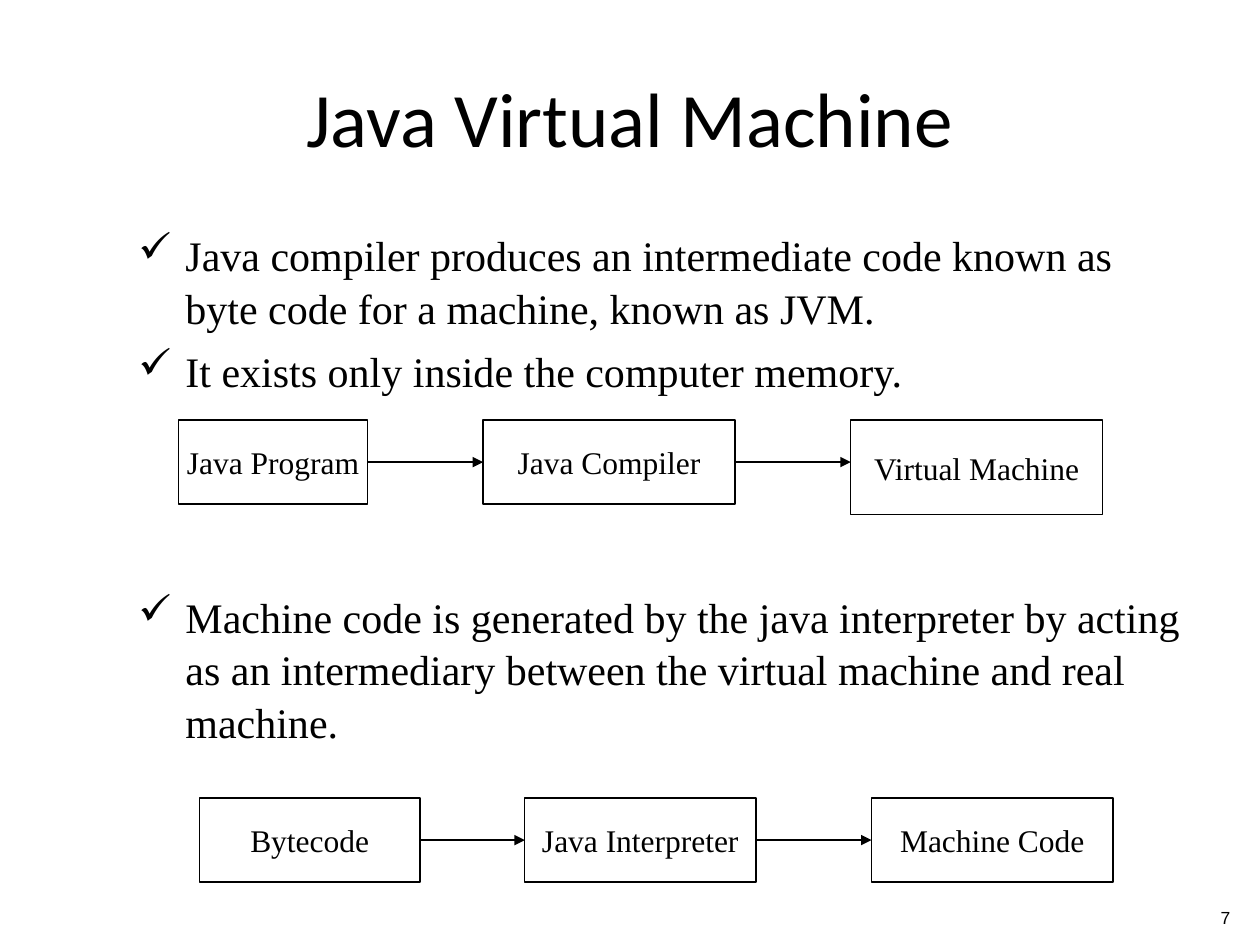
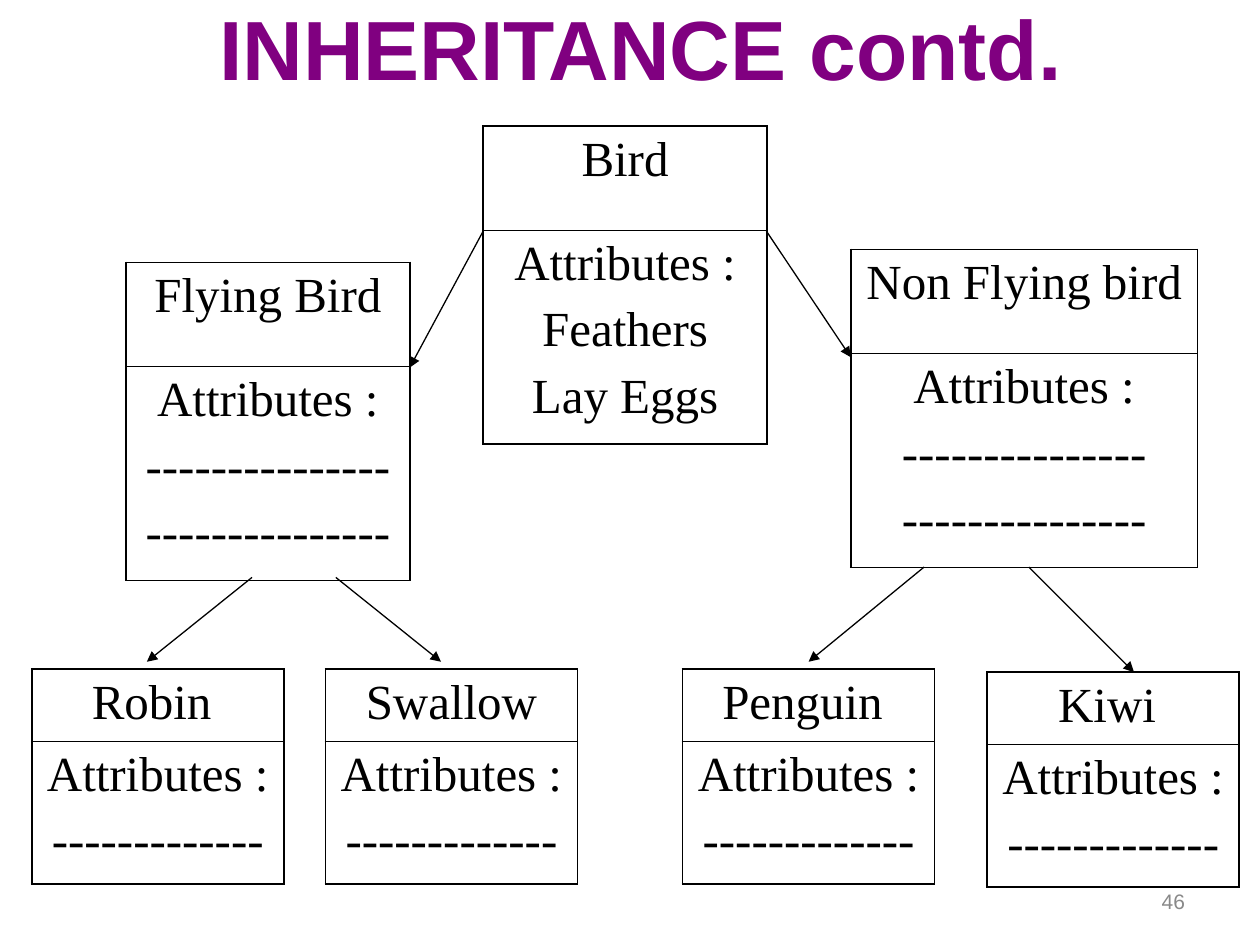
from lxml import etree
from pptx import Presentation
from pptx.dml.color import RGBColor
from pptx.enum.shapes import MSO_CONNECTOR as CONN, MSO_SHAPE as SHAPE
from pptx.enum.text import MSO_ANCHOR as ANCHOR, PP_ALIGN as ALIGN
from pptx.oxml.ns import qn
from pptx.util import Cm, Pt

BLACK = RGBColor(0x00, 0x00, 0x00)
WHITE = RGBColor(0xFF, 0xFF, 0xFF)
PURPLE = RGBColor(0x80, 0x00, 0x80)
GREY = RGBColor(0x89, 0x89, 0x89)
SERIF = "Times New Roman"


def write(tf, lines, size, font=SERIF, color=BLACK, align=ALIGN.CENTER,
          bold=False, gap=0):
    """Fill a text frame, one paragraph a line, with a gap between them."""
    tf.text = "\n".join(lines)
    for i, p in enumerate(tf.paragraphs):
        p.alignment = align
        p.space_before = Pt(gap if i else 0)
        for r in p.runs:
            r.font.name, r.font.size, r.font.bold = font, Pt(size), bold
            r.font.color.rgb = color


def add_arrow(s, x1, y1, x2, y2):
    """Draw a thin black arrow; lengths are in centimetres."""
    c = s.shapes.add_connector(CONN.STRAIGHT, Cm(x1), Cm(y1), Cm(x2), Cm(y2))
    c.line.color.rgb = BLACK
    c.line.width = Pt(0.75)
    etree.SubElement(c.line._get_or_add_ln(), qn("a:tailEnd"), type="triangle")
    etree.SubElement(c._element.spPr, qn("a:effectLst"))
    return c


prs = Presentation()
prs.slide_width, prs.slide_height = Cm(25.4), Cm(19.05)

# Titles and page numbers: text, place, size, font, colour, bold
pages = [
    (("Java Virtual Machine", (1.27, 0.76, 22.86, 3.18), 44, "Calibri", BLACK, False),
     ("7", (24.03, 17.81, 1.02, 1.02), 10, BLACK, ANCHOR.BOTTOM)),
    (("INHERITANCE contd.", (2.12, 0, 21.59, 1.91), 48, "Arial", PURPLE, True),
     ("46", (18.21, 17.65, 5.93, 1.02), 12, GREY, ANCHOR.MIDDLE)),
]
slides = []
for (title, place, size, font, color, bold), number in pages:
    s = prs.slides.add_slide(prs.slide_layouts[5])
    sp = s.shapes.title
    sp.left, sp.top, sp.width, sp.height = map(Cm, place)
    sp.text_frame.vertical_anchor = ANCHOR.MIDDLE
    write(sp.text_frame, [title], size, font, color, bold=bold)

    text, place, size, color, anchor = number
    tf = s.shapes.add_textbox(*map(Cm, place)).text_frame
    tf.word_wrap = True
    tf.vertical_anchor = anchor
    write(tf, [text], size, "Arial", color, ALIGN.RIGHT)
    slides.append(s)
jvm, inheritance = slides

# Java Virtual Machine: checked points, with room for the first flow
tf = jvm.shapes.add_textbox(Cm(2.54), Cm(4.45), Cm(21.8), Cm(13.76)).text_frame
tf.word_wrap = True
write(tf, [
    "Java compiler produces an intermediate code known as byte code for a "
    "machine, known as JVM.",
    "It exists only inside the computer memory.",
    "Machine code is generated by the java interpreter by acting as an "
    "intermediary between the virtual machine and real machine.",
], 24, align=ALIGN.LEFT, gap=6)
for p in tf.paragraphs:
    p.line_spacing = 1.05
    pPr = p._p.get_or_add_pPr()
    pPr.set("marL", str(Cm(0.95)))
    pPr.set("indent", str(-Cm(0.95)))
    etree.SubElement(pPr, qn("a:buChar"), char="✓")
tf.paragraphs[2].space_before = Pt(110)

# Flows: top, then text, left, width and height of each box
BOX_H = 1.69
flows = [
    (8.47, [("Java Program", 3.6, 3.81, BOX_H),
            ("Java Compiler", 9.74, 5.08, BOX_H),
            ("Virtual Machine", 17.15, 5.08, 1.91)]),
    (16.09, [("Bytecode", 4.02, 4.45, BOX_H),
             ("Java Interpreter", 10.58, 4.66, BOX_H),
             ("Machine Code", 17.57, 4.87, BOX_H)]),
]
for top, boxes in flows:
    previous = None
    for text, left, width, height in boxes:
        sp = jvm.shapes.add_shape(SHAPE.RECTANGLE, Cm(left), Cm(top),
                                  Cm(width), Cm(height))
        sp.shadow.inherit = False
        sp.fill.solid()
        sp.fill.fore_color.rgb = WHITE
        sp.line.color.rgb = BLACK
        sp.line.width = Pt(0.75)
        sp.text_frame.word_wrap = False
        sp.text_frame.vertical_anchor = ANCHOR.MIDDLE
        write(sp.text_frame, [text], 18)
        if previous:
            middle = top + BOX_H / 2
            c = add_arrow(jvm, previous.left.cm + previous.width.cm, middle,
                          left, middle)
            c.begin_connect(previous, 3)
            if height == BOX_H:
                c.end_connect(sp, 1)
        previous = sp

# Class tables: name, attributes, left, top, width, row heights
TALL, SHORT = (2.1, 4.31), (1.44, 2.87)
LONG_DASH, DASH = "-" * 15, "-" * 13
classes = [
    ("Bird", ["Feathers", "Lay Eggs"], 9.74, 2.54, 5.72, TALL),
    ("Flying Bird", [LONG_DASH] * 2, 2.54, 5.29, 5.72, TALL),
    ("Non Flying bird", [LONG_DASH] * 2, 17.15, 5.03, 6.99, TALL),
    ("Robin ", [DASH], 0.64, 13.49, 5.08, SHORT),
    ("Swallow", [DASH], 6.56, 13.49, 5.08, SHORT),
    ("Penguin ", [DASH], 13.76, 13.49, 5.08, SHORT),
    ("Kiwi ", [DASH], 19.9, 13.55, 5.08, SHORT),
]
for name, attributes, left, top, width, heights in classes:
    table = inheritance.shapes.add_table(2, 1, Cm(left), Cm(top), Cm(width),
                                         Cm(sum(heights))).table
    table.first_row = table.horz_banding = False
    contents = [[name], ["Attributes :"] + attributes]
    for i, (lines, height) in enumerate(zip(contents, heights)):
        table.rows[i].height = Cm(height)
        cell = table.cell(i, 0)
        cell.margin_left = cell.margin_right = Cm(0.25)
        cell.margin_top = cell.margin_bottom = Cm(0.13)
        write(cell.text_frame, lines, 28, gap=7)
        # Borders go before the fill; the line between the rows is thinner
        tcPr = cell._tc.get_or_add_tcPr()
        inner = "lnT" if i else "lnB"
        for side in ("lnL", "lnR", "lnT", "lnB"):
            line_width = Pt(0.45 if side == inner else 1.08)
            ln = etree.SubElement(tcPr, qn(f"a:{side}"), w=str(line_width))
            fill = etree.SubElement(ln, qn("a:solidFill"))
            etree.SubElement(fill, qn("a:srgbClr"), val=str(BLACK))
        cell.fill.solid()
        cell.fill.fore_color.rgb = WHITE

# Arrows from each class to its subclasses
for ends in [
    (9.74, 4.66, 8.26, 7.41),
    (15.45, 4.66, 17.15, 7.2),
    (5.08, 11.64, 2.96, 13.34),
    (6.77, 11.64, 8.89, 13.34),
    (18.63, 11.43, 16.3, 13.34),
    (20.74, 11.43, 22.86, 13.55),
]:
    add_arrow(inheritance, *ends)

prs.save("out.pptx")
